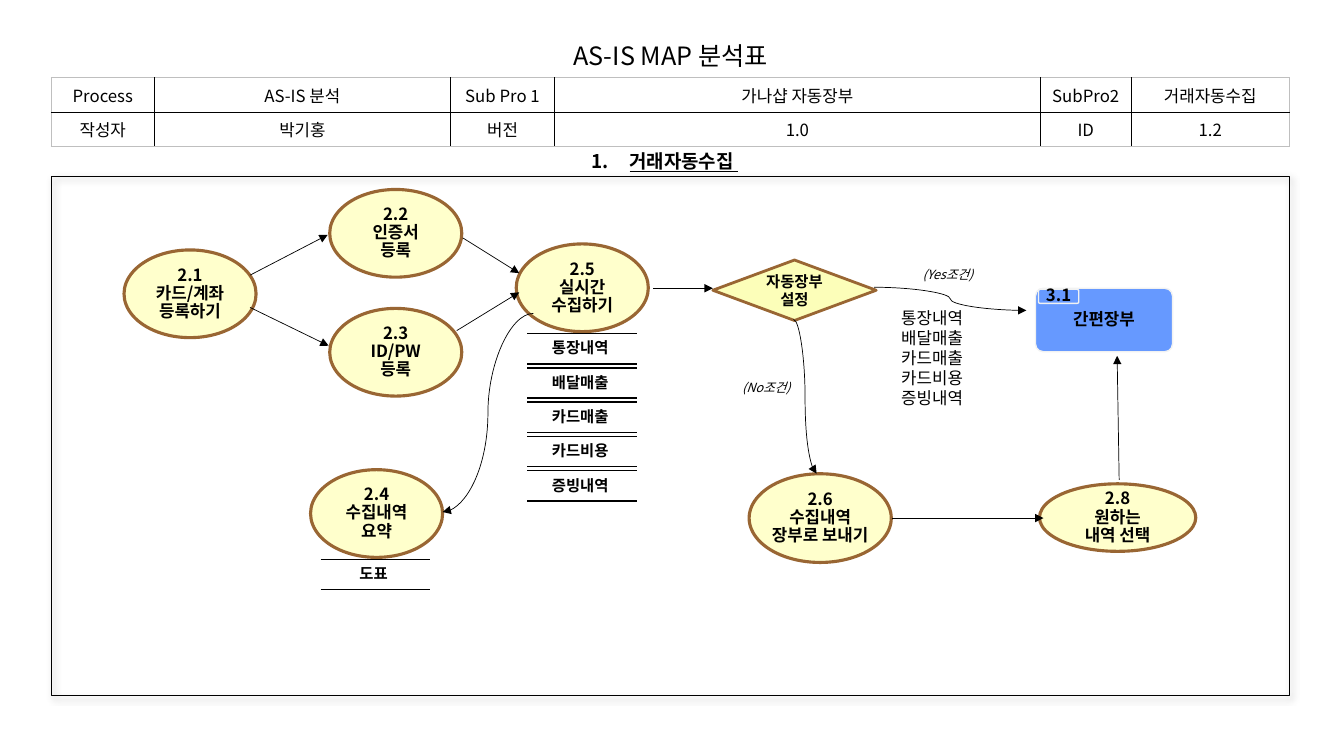
from lxml import etree
from pptx import Presentation
from pptx.dml.color import RGBColor as RGB
from pptx.enum.shapes import MSO_CONNECTOR as LINK, MSO_SHAPE as SHAPE
from pptx.enum.text import MSO_ANCHOR as ANCHOR, MSO_AUTO_SIZE as AUTO, PP_ALIGN as ALIGN
from pptx.oxml import parse_xml
from pptx.oxml.ns import nsdecls, qn
from pptx.util import Inches, Pt

U = Inches(0.1)  # one grid cell; the slide is 133.33 columns by 75 rows
FONT = "Noto Sans CJK KR"
HUE = {"ink": "000000", "paper": "FFFFFF", "rim": "BFBFBF", "cream": "FFFFCC",
       "lemon": "FCFEB9", "brown": "996633", "blue": "6699FF", "pale": "F1F2F2"}
TIGHT, FULL = 0.9, 1.0  # line spacing

deck = Presentation()
deck.slide_width, deck.slide_height = Inches(13.33), Inches(7.5)
slide = deck.slides.add_slide(deck.slide_layouts[5])
shapes = slide.shapes


def write(frame, lines, size, gap=FULL, pad=(0, 0), align=ALIGN.CENTER,
          bold=False, italic=False, wrap=True):
    frame.auto_size, frame.word_wrap = AUTO.NONE, wrap
    frame.margin_left = frame.margin_right = Inches(pad[0])
    frame.margin_top = frame.margin_bottom = Inches(pad[1])
    for i, text in enumerate(lines):
        para = frame.add_paragraph() if i else frame.paragraphs[0]
        para.alignment, para.line_spacing = align, gap
        run = para.add_run()
        run.text = text
        font = run.font
        font.name, font.size, font.bold, font.italic = FONT, Pt(size), bold, italic
        font.color.rgb = RGB.from_string(HUE["ink"])
        etree.SubElement(run._r.get_or_add_rPr(), qn("a:ea"), typeface=FONT)


def link(ends, width, kind=LINK.STRAIGHT, tip=False):
    line = shapes.add_connector(kind, *[int(n * U) for n in ends])
    line.line.width = Pt(width)
    line.line.color.rgb = RGB.from_string(HUE["ink"])
    if tip:
        etree.SubElement(line.line._get_or_add_ln(), qn("a:tailEnd"), type="triangle")
    etree.SubElement(line._element.spPr, qn("a:effectLst"))


# Heading with its number
head = shapes.title
head.left, head.top, head.width, head.height = [int(n * U) for n in (15.9, 14.5, 100, 3)]
head.text_frame.vertical_anchor = ANCHOR.MIDDLE
write(head.text_frame, ["거래자동수집 "], 13.5, pad=(0.12, 0.06), bold=True, wrap=False)
para = head.text_frame.paragraphs[0]
para.runs[0].font.underline = True
props = para._p.get_or_add_pPr()
props.set("marL", str(Inches(0.38)))
props.set("indent", str(-Inches(0.38)))
etree.SubElement(props, qn("a:buFont"), typeface="+mj-lt")
etree.SubElement(props, qn("a:buAutoNum"), type="arabicPeriod")

# Tables: place, columns, rows, text size, inner and outer border, words
tables = [
    ((30.4, 3.1), [72.2], [4], 18, "paper", "paper", [["AS-IS MAP 분석표"]]),
    ((5.1, 7.7), [10.2, 29.4, 10.3, 48.2, 9, 15.7], [3.1, 2.9], 12, "ink", "rim",
     [["Process", "AS-IS 분석", "Sub Pro 1", "가나샵 자동장부", "SubPro2", "거래자동수집"],
      ["작성자", "박기홍", "버전", "1.0", "ID", "1.2"]]),
]
for (x, y), cols, rows, size, inner, outer, words in tables:
    box = [int(n * U) for n in (x, y, sum(cols), sum(rows))]
    table = shapes.add_table(len(rows), len(cols), *box).table
    table.first_row = table.horz_banding = False
    for c, wide in enumerate(cols):
        table.columns[c].width = int(wide * U)
    for r, tall in enumerate(rows):
        table.rows[r].height = int(tall * U)
        for c, text in enumerate(words[r]):
            cell = table.cell(r, c)
            write(cell.text_frame, [text], size)
            cell.margin_left = cell.margin_right = Inches(0.1)
            cell.margin_top = cell.margin_bottom = Inches(0.05)
            cell.vertical_anchor = ANCHOR.MIDDLE
            edges = {"L": c == 0, "R": c == len(cols) - 1,
                     "T": r == 0, "B": r == len(rows) - 1}
            for side, rim in edges.items():
                edge = etree.SubElement(cell._tc.get_or_add_tcPr(), qn("a:ln" + side),
                                        w=str(Pt(1)))
                fill = etree.SubElement(edge, qn("a:solidFill"))
                etree.SubElement(fill, qn("a:srgbClr"), val=HUE[outer if rim else inner])
            cell.fill.solid()
            cell.fill.fore_color.rgb = RGB.from_string(HUE["paper"])

# Frame with a soft shadow
frame = shapes.add_shape(SHAPE.RECTANGLE, *[int(n * U) for n in (5.1, 17.5, 122.8, 51.5)])
frame.fill.background()
frame.line.width = Pt(0.75)
frame.line.color.rgb = RGB.from_string(HUE["ink"])
frame._element.spPr.append(parse_xml(
    f'<a:effectLst {nsdecls("a")}><a:outerShdw blurRad="{Pt(5)}" dist="{Pt(3)}" dir="2700000">'
    f'<a:srgbClr val="{HUE["ink"]}"><a:alpha val="40000"/></a:srgbClr>'
    '</a:outerShdw></a:effectLst>'))

# Steps: kind, box, fill, line, line width, text size, spacing, insets, lines
OVAL = (SHAPE.OVAL, "cream", "brown", 2.25, 12, TIGHT, (0, 0))
RHOMB = (SHAPE.FLOWCHART_DECISION, "lemon", "brown", 2, 11, FULL, (0, 0))
CARD = (SHAPE.ROUNDED_RECTANGLE, "blue", "pale", 1, 12, TIGHT, (0.04, 0.04))
steps = [
    (OVAL, (12.3, 24.8, 13.1, 8.7), ["2.1", "카드/계좌", "등록하기"]),
    (OVAL, (32.7, 18.8, 13.1, 8.7), ["2.2", "인증서", "등록"]),
    (OVAL, (32.7, 30.6, 13.1, 8.7), ["2.3", "ID/PW", "등록"]),
    (OVAL, (30.8, 46.6, 13.1, 8.7), ["2.4", "수집내역", "요약"]),
    (OVAL, (51.2, 24.2, 13.1, 8.7), ["2.5", "실시간", "수집하기"]),
    (OVAL, (74.3, 47, 14.1, 8.8), ["2.6", "수집내역 장부로 보내기"]),
    (OVAL, (103.1, 48, 15.5, 6.7), ["2.8", "원하는", "내역 선택"]),
    (RHOMB, (70.7, 25.8, 16.2, 6), ["자동장부", "설정"]),
    (CARD, (102.7, 28.6, 13.6, 6.3), ["간편장부"]),
    (CARD, (103, 28.7, 4, 1.4), ["3.1"]),
]
for (kind, fill, rim, width, size, gap, pad), box, lines in steps:
    step = shapes.add_shape(kind, *[int(n * U) for n in box])
    step.shadow.inherit = False
    step.fill.solid()
    step.fill.fore_color.rgb = RGB.from_string(HUE[fill])
    step.line.color.rgb = RGB.from_string(HUE[rim])
    step.line.width = Pt(width)
    if kind == SHAPE.ROUNDED_RECTANGLE:
        step.adjustments[0] = 0.125
    step.text_frame.vertical_anchor = ANCHOR.MIDDLE
    write(step.text_frame, lines, size, gap, pad, bold=True, wrap=lines != ["3.1"])

# Data stores: a label between two rules
items = ["통장내역", "배달매출", "카드매출", "카드비용", "증빙내역"]
stores = [(52.3, 33.1 + 3.4 * i, item) for i, item in enumerate(items)]
for x, y, item in stores + [(31.8, 55.5, "도표")]:
    for rule in (y, y + 3):
        link((x, rule, x + 10.9, rule), 1)
    label = shapes.add_textbox(*[int(n * U) for n in (x, y, 10.5, 3.3)])
    write(label.text_frame, [item], 11, TIGHT, (0.13, 0.07), bold=True)

# Branch labels and the list of items sent on
for box, text in [((72.3, 37, 9.1, 2.8), "(No조건)"), ((90.2, 25.8, 9.2, 2.8), "(Yes조건)")]:
    label = shapes.add_textbox(*[int(n * U) for n in box])
    write(label.text_frame, [text], 9, FULL, (0.13, 0.07), ALIGN.LEFT, italic=True)
label = shapes.add_textbox(*[int(n * U) for n in (88.4, 30, 14.3, 11.1)])
write(label.text_frame, items, 12, FULL, (0.1, 0.05), ALIGN.LEFT)

# Arrows
straight = [(24.8, 27.3, 32.5, 23.3), (24.8, 30.5, 32.6, 34.3), (45.9, 23.6, 51.5, 27.1),
            (45.3, 32.8, 51.5, 29), (64.8, 28.6, 70.7, 28.6), (88.5, 51.4, 103.5, 51.4),
            (111, 47.6, 110.8, 35.3)]
curved = [(78.7, 31.7, 81, 47), (86.7, 28.5, 101.8, 30.8), (52.9, 31.1, 43.9, 50.8)]
for kind, group in [(LINK.STRAIGHT, straight), (LINK.CURVE, curved)]:
    for ends in group:
        link(ends, 0.5, kind, tip=True)

deck.save("out.pptx")
